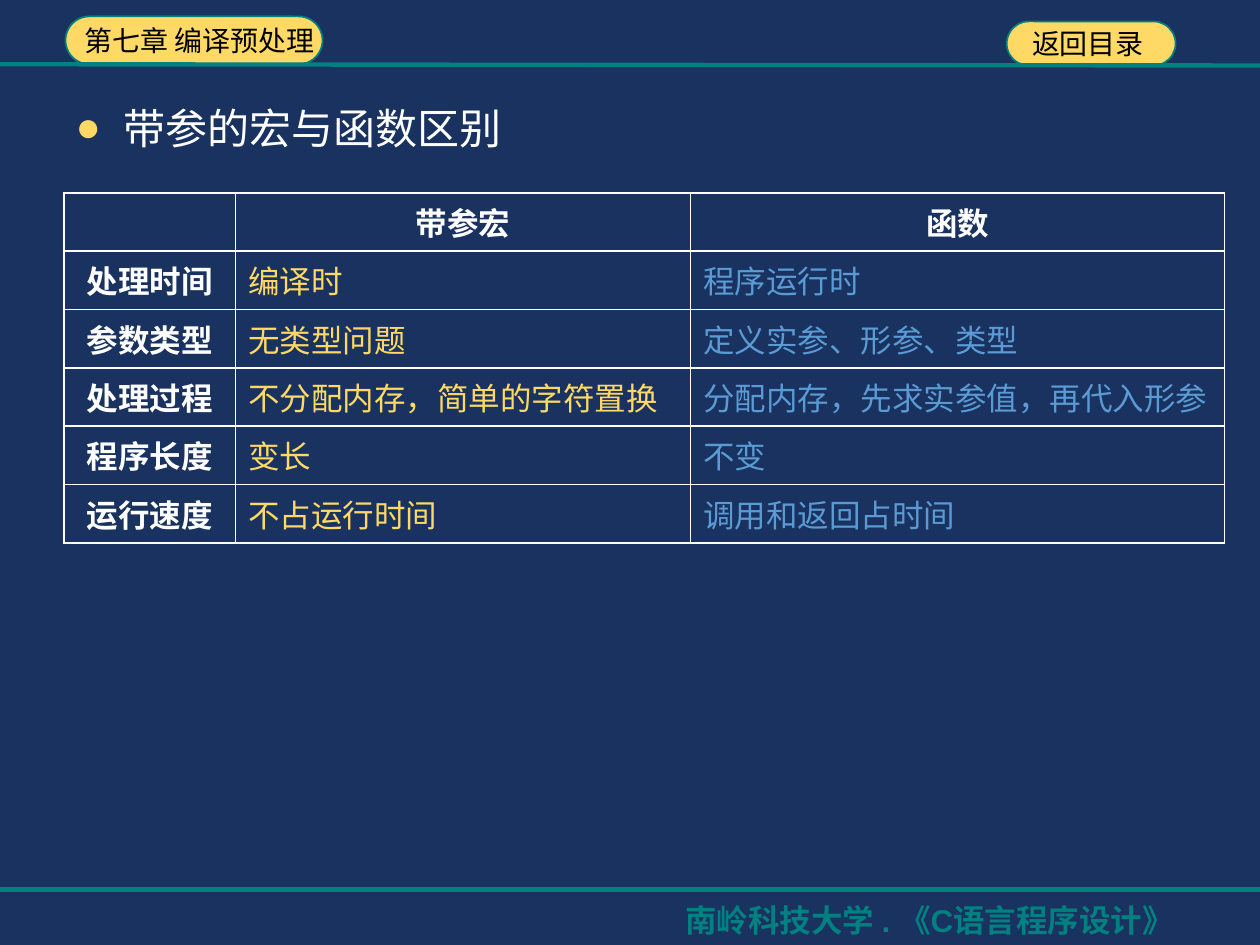
import pptx
import pptx.dml.color
import pptx.enum.shapes
import pptx.enum.text
import pptx.oxml
import pptx.oxml.ns
import pptx.util

Inches = pptx.util.Inches
Pt = pptx.util.Pt
RGBColor = pptx.dml.color.RGBColor
ALIGN = pptx.enum.text.PP_ALIGN

NAVY = RGBColor(0x19, 0x32, 0x5F)
GOLD = RGBColor(0xFF, 0xD9, 0x66)
TEAL = RGBColor(0x00, 0x80, 0x80)
BLUE = RGBColor(0x5B, 0x9B, 0xD5)
WHITE = RGBColor(0xFF, 0xFF, 0xFF)
BLACK = RGBColor(0x00, 0x00, 0x00)

HEADING = "带参的宏与函数区别"
FOOTER = "南岭科技大学 . 《C语言程序设计》"
BUTTONS = [
    ("第七章 编译预处理", 0.52, 0.13, 2.04, 0.38, 0.1),
    ("返回目录", 7.99, 0.17, 1.34, 0.35, 0.15),
]
RULES = [(0.51, 0.52), (7.06, 7.06)]
COMPARISON = [
    ("", "带参宏", "函数"),
    ("处理时间", "编译时", "程序运行时"),
    ("参数类型", "无类型问题", "定义实参、形参、类型"),
    ("处理过程", "不分配内存，简单的字符置换", "分配内存，先求实参值，再代入形参"),
    ("程序长度", "变长", "不变"),
    ("运行速度", "不占运行时间", "调用和返回占时间"),
]
COLUMN_WIDTHS = [1.36, 3.61, 4.24]
COLUMN_COLORS = [WHITE, GOLD, BLUE]
TABLE_HEIGHT = 2.78


def xml_element(tag, content="", attributes=""):
    namespace = pptx.oxml.ns.nsdecls("a")
    return pptx.oxml.parse_xml(
        f"<a:{tag} {namespace} {attributes}>{content}</a:{tag}>")


def add_text(paragraph, text, size, color, bold=False, font_name="Arial"):
    run = paragraph.add_run()
    run.text = text
    run.font.size = Pt(size)
    run.font.name = font_name
    run.font.bold = bold
    run.font.color.rgb = color


def add_button(slide, text, left, top, width, height, margin):
    button = slide.shapes.add_shape(
        pptx.enum.shapes.MSO_SHAPE.ROUNDED_RECTANGLE,
        Inches(left), Inches(top), Inches(width), Inches(height))
    button.adjustments[0] = 0.5
    button.shadow.inherit = False
    button.fill.solid()
    button.fill.fore_color.rgb = GOLD
    button.line.color.rgb = TEAL
    button.line.width = Pt(1)
    frame = button.text_frame
    frame.word_wrap = False
    frame.margin_left = Inches(margin)
    frame.vertical_anchor = pptx.enum.text.MSO_ANCHOR.MIDDLE
    frame.paragraphs[0].alignment = ALIGN.LEFT
    add_text(frame.paragraphs[0], text, 16, BLACK)


def add_rule(slide, start, end):
    rule = slide.shapes.add_connector(
        pptx.enum.shapes.MSO_CONNECTOR.STRAIGHT,
        Inches(0), Inches(start), Inches(10), Inches(end))
    rule.line.color.rgb = TEAL
    rule.line.width = Pt(2.5)
    rule._element.spPr.append(xml_element("effectLst"))


def set_borders(cell):
    properties = cell._tc.get_or_add_tcPr()
    line_fill = f'<a:solidFill><a:srgbClr val="{WHITE}"/></a:solidFill>'
    for position, side in enumerate(("lnL", "lnR", "lnT", "lnB")):
        properties.insert(
            position, xml_element(side, line_fill, f'w="{Pt(1)}"'))


def add_comparison(slide):
    table = slide.shapes.add_table(
        len(COMPARISON), len(COLUMN_WIDTHS), Inches(0.51), Inches(1.53),
        Inches(sum(COLUMN_WIDTHS)), Inches(TABLE_HEIGHT)).table
    table.first_row = False
    table.horz_banding = False
    for column, width in zip(table.columns, COLUMN_WIDTHS):
        column.width = Inches(width)
    for row_index, texts in enumerate(COMPARISON):
        table.rows[row_index].height = Inches(TABLE_HEIGHT / len(COMPARISON))
        for column_index, text in enumerate(texts):
            cell = table.cell(row_index, column_index)
            cell.fill.background()
            set_borders(cell)
            is_header = row_index == 0 or column_index == 0
            paragraph = cell.text_frame.paragraphs[0]
            paragraph.alignment = ALIGN.CENTER if is_header else ALIGN.LEFT
            if text:
                color = WHITE if is_header else COLUMN_COLORS[column_index]
                add_text(paragraph, text, 18, color, is_header, "Calibri")


def add_heading(slide):
    body = slide.placeholders[1]
    body.left, body.top = Inches(0.5), Inches(0.68)
    body.width, body.height = Inches(9), Inches(6.02)
    paragraph = body.text_frame.paragraphs[0]
    paragraph.line_spacing = 1.2
    paragraph.space_before = Pt(0)
    properties = paragraph._p.get_or_add_pPr()
    properties.set("marL", str(Inches(0.38)))
    properties.set("indent", str(-Inches(0.38)))
    properties.append(xml_element("buClr", f'<a:srgbClr val="{GOLD}"/>'))
    properties.append(xml_element("buChar", attributes='char="●"'))
    add_text(paragraph, HEADING, 24, WHITE)


def add_footer(slide):
    footer = slide.shapes.add_textbox(
        Inches(5), Inches(7.1), Inches(5), Inches(0.4))
    footer.text_frame.word_wrap = True
    footer.text_frame.margin_left = Inches(0.44)
    add_text(footer.text_frame.paragraphs[0], FOOTER, 18, TEAL, True)


presentation = pptx.Presentation()
presentation.slide_width = Inches(10)
presentation.slide_height = Inches(7.5)
slide = presentation.slides.add_slide(presentation.slide_layouts[1])
slide.background.fill.solid()
slide.background.fill.fore_color.rgb = NAVY
title = slide.shapes.title._element
title.getparent().remove(title)

for button in BUTTONS:
    add_button(slide, *button)
for rule in RULES:
    add_rule(slide, *rule)
add_footer(slide)
add_heading(slide)
add_comparison(slide)
presentation.save("out.pptx")
